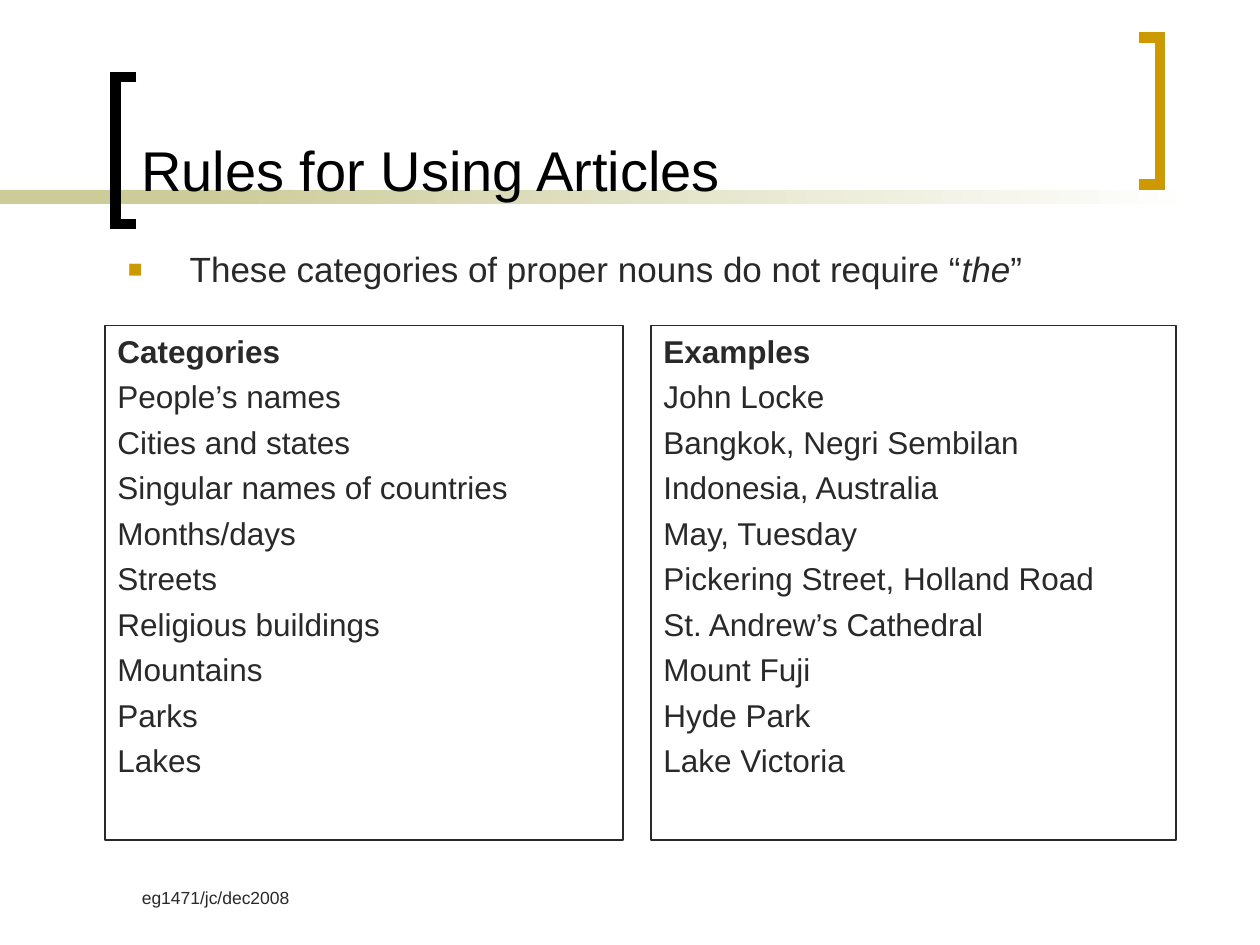
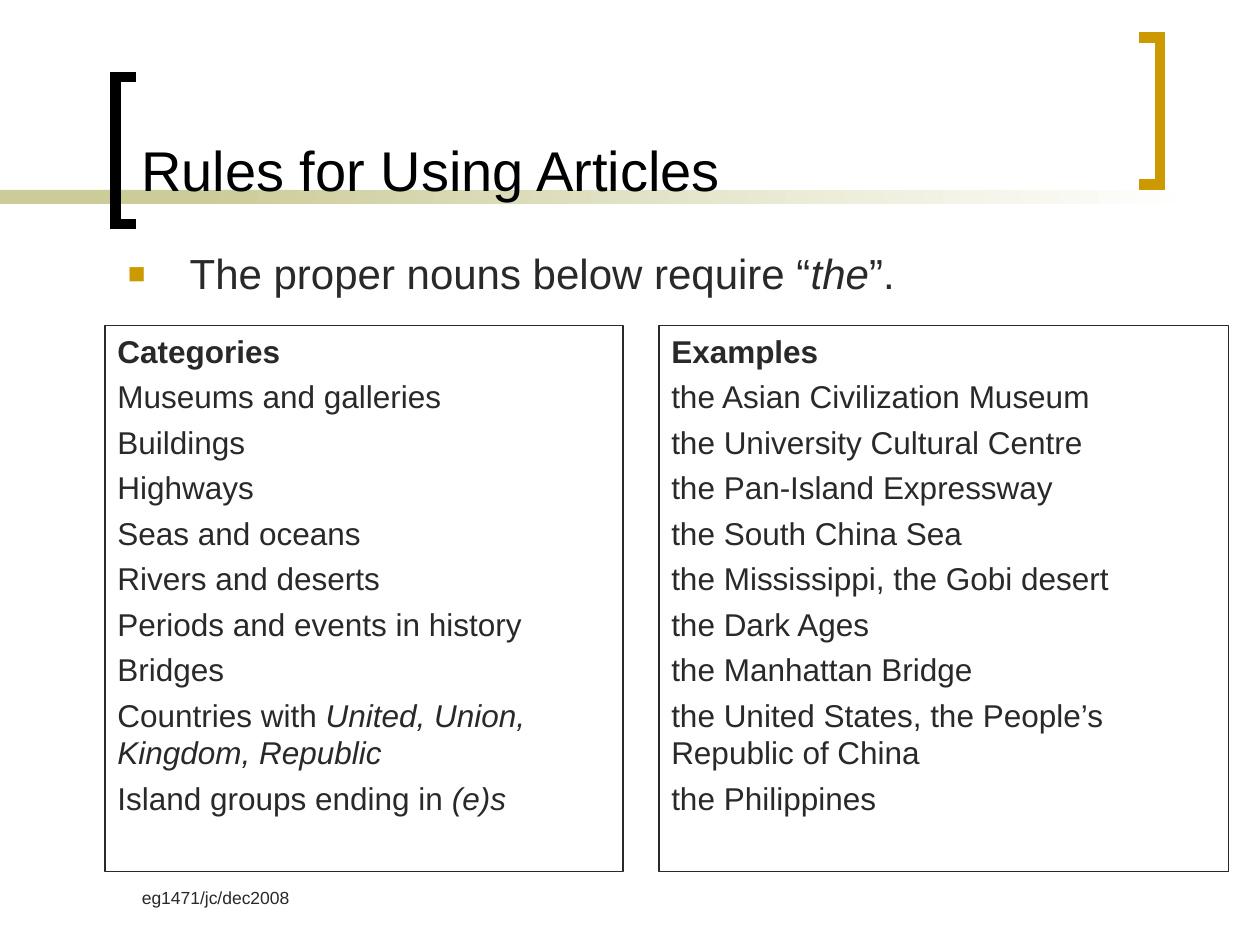
from lxml import etree
from pptx import Presentation
from pptx.dml.color import RGBColor
from pptx.enum import shapes, text
from pptx.oxml import ns
from pptx.util import Pt

COLOURS = {"ink": "292929", "title": "000000", "gold": "CC9900",
           "sand": "CCCC99", "paper": "FFFFFF"}
FONT = "Arial"
TITLE = "Rules for Using Articles"
FOOTER = "eg1471/jc/dec2008"
SPACE_BEFORE = Pt(4.4)

# Text between asterisks is italic.
SLIDES = [
    {"rule": "These categories of proper nouns do not require “*the*”",
     "rule_size": 20,
     "boxes": [(60, 186, 296, 294), (372, 186, 300, 294)],
     "rows": [("People’s names", "John Locke"),
              ("Cities and states", "Bangkok, Negri Sembilan"),
              ("Singular names of countries", "Indonesia, Australia"),
              ("Months/days", "May, Tuesday"),
              ("Streets", "Pickering Street, Holland Road"),
              ("Religious buildings", "St. Andrew’s Cathedral"),
              ("Mountains", "Mount Fuji"),
              ("Parks", "Hyde Park"),
              ("Lakes", "Lake Victoria")]},
    {"rule": "The proper nouns below require “*the*”.",
     "rule_size": 24,
     "boxes": [(60, 186, 296, 312), (376.5, 186, 325.5, 312)],
     "rows": [("Museums and galleries", "the Asian Civilization Museum"),
              ("Buildings", "the University Cultural Centre"),
              ("Highways", "the Pan-Island Expressway"),
              ("Seas and oceans", "the South China Sea"),
              ("Rivers and deserts", "the Mississippi, the Gobi desert"),
              ("Periods and events in history", "the Dark Ages"),
              ("Bridges", "the Manhattan Bridge"),
              ("Countries with *United, Union, Kingdom, Republic*",
               "the United States, the People’s Republic of China"),
              ("Island groups ending in *(e)s*", "the Philippines")]},
]


def colour(name):
    """Return the named colour."""
    return RGBColor.from_string(COLOURS[name])


def points(box):
    """Turn a box of numbers into lengths."""
    return [Pt(value) for value in box]


def write(paragraph, words, size, ink="ink", bold=False):
    """Write words left-aligned, with the parts between asterisks in italics."""
    paragraph.alignment = text.PP_ALIGN.LEFT
    for index, part in enumerate(words.split("*")):
        if part:
            run = paragraph.add_run()
            run.text = part
            run.font.name = FONT
            run.font.size = Pt(size)
            run.font.bold = bold
            run.font.italic = index % 2 == 1
            run.font.color.rgb = colour(ink)


def add_text(slide, box, words, size, ink="ink", anchor=text.MSO_ANCHOR.TOP):
    """Add a wrapping text box and return its frame."""
    frame = slide.shapes.add_textbox(*points(box)).text_frame
    frame.word_wrap = True
    frame.vertical_anchor = anchor
    write(frame.paragraphs[0], words, size, ink)
    return frame


def add_rectangle(slide, box):
    """Add a rectangle without shadow."""
    shape = slide.shapes.add_shape(shapes.MSO_SHAPE.RECTANGLE, *points(box))
    shape.shadow.inherit = False
    return shape


def add_band(slide, box):
    """Add the band under the title: a plain start, then a fade to white."""
    left, top, width, height = box
    plain = add_rectangle(slide, (left, top, 168, height))
    plain.fill.solid()
    plain.fill.fore_color.rgb = colour("sand")
    fade = add_rectangle(slide, (left + 114, top, width - 114, height))
    fade.fill.gradient()
    fade.fill.gradient_angle = 0
    for stop, name in zip(fade.fill.gradient_stops, ("sand", "paper")):
        stop.color.rgb = colour(name)
    for shape in (plain, fade):
        shape.line.fill.background()


def add_bracket(slide, box, ink, opens_right):
    """Add a square bracket that fills the box."""
    left, top, width, height = box
    tip, spine = left, left + width
    if opens_right:
        tip, spine = spine, tip
    builder = slide.shapes.build_freeform(Pt(tip), Pt(top))
    builder.add_line_segments(
        [(Pt(spine), Pt(top)), (Pt(spine), Pt(top + height)),
         (Pt(tip), Pt(top + height))], close=False)
    bracket = builder.convert_to_shape()
    bracket.shadow.inherit = False
    bracket.fill.background()
    bracket.line.color.rgb = colour(ink)
    bracket.line.width = Pt(6)
    line = bracket.line._get_or_add_ln()
    etree.SubElement(line, ns.qn("a:miter"), lim="800000")


def add_frame(slide):
    """Add what every slide shares: band, brackets, footer and title."""
    add_band(slide, (0, 108.5, 684, 8))
    add_bracket(slide, (66, 44, 12, 84), "title", opens_right=True)
    add_bracket(slide, (651, 21.5, 12, 84), "gold", opens_right=False)
    footer = add_text(slide, (74, 492, 150, 36), FOOTER, 10)
    footer.margin_top = Pt(15)
    add_text(slide, (73.5, 8, 564, 111.5), TITLE, 32, "title",
             text.MSO_ANCHOR.BOTTOM)


def add_rule(slide, box, words, size):
    """Add the rule as a line with a square gold bullet."""
    paragraph = add_text(slide, box, words, size).paragraphs[0]
    paragraph.space_before = SPACE_BEFORE
    properties = paragraph._p.get_or_add_pPr()
    indent = Pt(35.3)
    properties.set("marL", str(indent))
    properties.set("indent", str(-indent))
    bullet_colour = etree.SubElement(properties, ns.qn("a:buClr"))
    etree.SubElement(bullet_colour, ns.qn("a:srgbClr"), val=COLOURS["gold"])
    etree.SubElement(properties, ns.qn("a:buSzPct"), val="70000")
    etree.SubElement(properties, ns.qn("a:buFont"), typeface=FONT)
    etree.SubElement(properties, ns.qn("a:buChar"), char="■")


def add_list(slide, box, heading, items):
    """Add an outlined box with a bold heading over its items."""
    shape = add_rectangle(slide, box)
    shape.fill.background()
    shape.line.color.rgb = colour("ink")
    shape.line.width = Pt(0.75)
    frame = shape.text_frame
    frame.word_wrap = True
    frame.vertical_anchor = text.MSO_ANCHOR.TOP
    write(frame.paragraphs[0], heading, 18, bold=True)
    for item in items:
        write(frame.add_paragraph(), item, 18)
    for paragraph in frame.paragraphs:
        paragraph.space_before = SPACE_BEFORE


def add_rule_slide(presentation, content):
    """Add a slide with one rule and its categories beside examples."""
    slide = presentation.slides.add_slide(presentation.slide_layouts[6])
    add_frame(slide)
    add_rule(slide, (66, 138, 594, 42), content["rule"], content["rule_size"])
    columns = zip(*content["rows"])
    for box, heading, items in zip(content["boxes"],
                                   ("Categories", "Examples"), columns):
        add_list(slide, box, heading, items)


def main():
    """Build and save the presentation."""
    presentation = Presentation()
    presentation.slide_width, presentation.slide_height = Pt(720), Pt(540)
    for content in SLIDES:
        add_rule_slide(presentation, content)
    presentation.save("out.pptx")


main()
